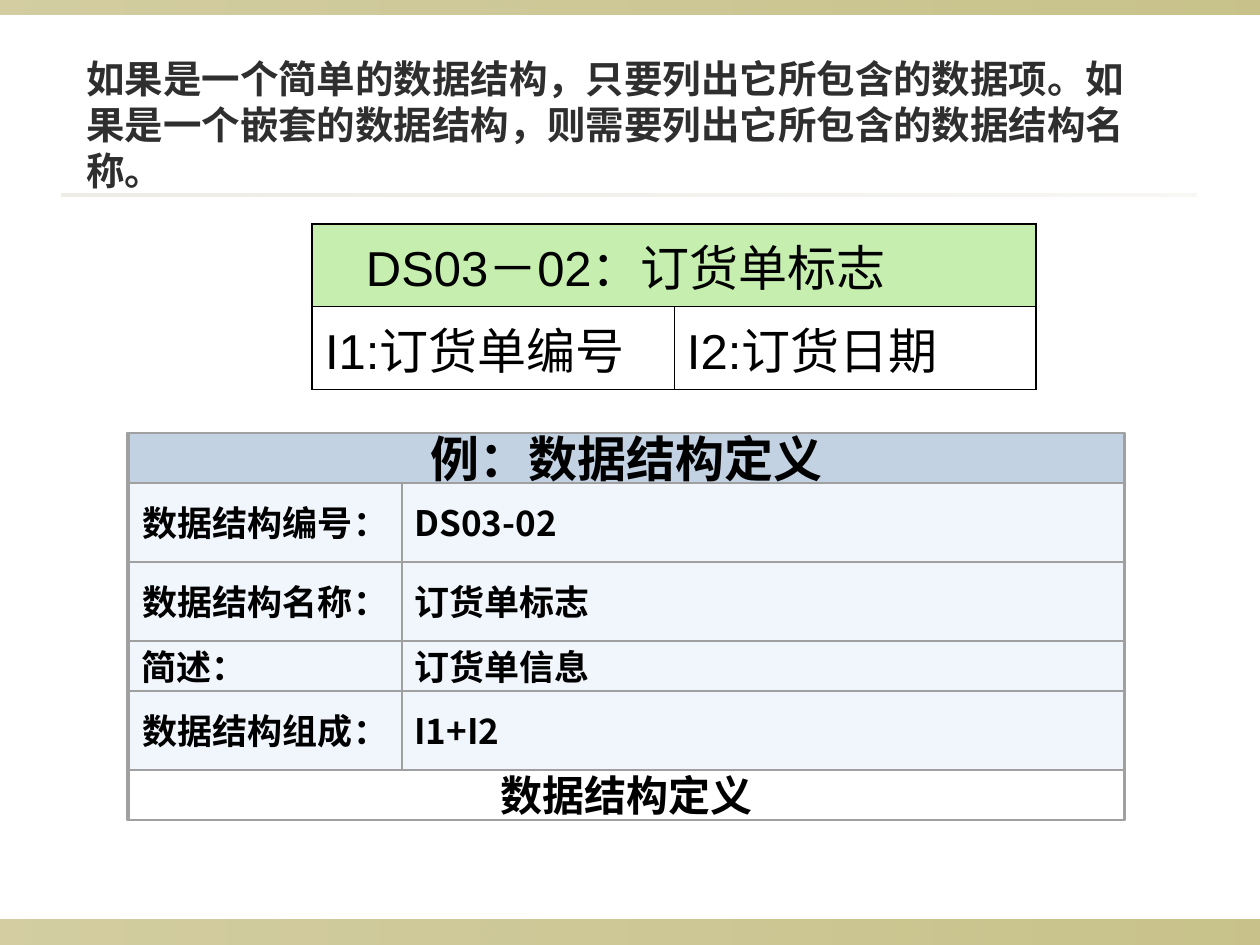
from lxml.etree import SubElement
from pptx import Presentation
from pptx.dml.color import RGBColor
from pptx.enum.shapes import MSO_SHAPE as Shape
from pptx.enum.text import MSO_ANCHOR as Anchor, PP_ALIGN as Align
from pptx.oxml.ns import qn
from pptx.util import Emu, Pt

PX_PER_INCH = 126
BLACK = RGBColor(0x00, 0x00, 0x00)
CHARCOAL = RGBColor(0x2F, 0x2F, 0x2F)
OLIVE = RGBColor(0x91, 0x84, 0x15)
SAND = RGBColor(0xDC, 0xD9, 0xCC)
GREEN = RGBColor(0xC6, 0xEF, 0xAF)
STEEL = RGBColor(0x88, 0xA6, 0xC9)
ICE = RGBColor(0xE5, 0xEF, 0xFB)
GREY = RGBColor(0xA0, 0xA0, 0xA0)

SANS = "Noto Sans CJK SC"
THIN, THICK = 0.45, 1.08
INSET_X, INSET_Y = 13, 6

INTRO = "如果是一个简单的数据结构，只要列出它所包含的数据项。如果是一个嵌套的数据结构，则需要列出它所包含的数据结构名称。"
FIELDS = [
    ("数据结构编号：", "DS03-02", 79, Align.CENTER),
    ("数据结构名称：", "订货单标志", 79, Align.CENTER),
    ("简述：", "订货单信息", 50, Align.LEFT),
    ("数据结构组成：", "I1+I2", 79, Align.CENTER),
]


def px(length):
    return Emu(round(length * 914400 / PX_PER_INCH))


def set_alpha(color_element, percent):
    SubElement(color_element, qn("a:alpha"), val=str(percent * 1000))


def write(frame, text, font_name, size, color=BLACK, bold=False, align=Align.LEFT):
    para = frame.paragraphs[0]
    span = para.add_run()
    span.text = text
    para.alignment = align
    font = span.font
    font.name, font.size, font.bold = font_name, Pt(size), bold
    font.color.rgb = color
    SubElement(span._r.get_or_add_rPr(), qn("a:ea"), typeface=font_name)


def add_rect(page, left, top, width, height):
    rect = page.shapes.add_shape(Shape.RECTANGLE, px(left), px(top), px(width), px(height))
    rect.shadow.inherit = False
    rect.fill.background()
    rect.line.fill.background()
    return rect


def add_band(page, left, top, width, height, color, alphas):
    fill = add_rect(page, left, top, width, height).fill
    fill.gradient()
    fill.gradient_angle = 0
    for stop, position, alpha in zip(fill.gradient_stops, (0, 1), alphas):
        stop.position = position
        stop.color.rgb = color
        set_alpha(stop._gs[0], alpha)


def add_outline(rect, width):
    rect.line.color.rgb = GREY
    rect.line.width = Pt(width)


def add_field(page, left, top, width, height, text, size, align, color=None):
    rect = add_rect(page, left, top, width, height)
    if color is not None:
        rect.fill.solid()
        rect.fill.fore_color.rgb = color
        set_alpha(rect.fill._xPr.find(qn("a:solidFill"))[0], 50)
    add_outline(rect, 0)
    frame = rect.text_frame
    frame.word_wrap = True
    frame.vertical_anchor = Anchor.MIDDLE
    write(frame, text, SANS, size, bold=True, align=align)


def add_title(page):
    box = page.shapes.add_textbox(px(74), px(45), px(1071), px(158))
    frame = box.text_frame
    frame.word_wrap = True
    frame.vertical_anchor = Anchor.MIDDLE
    write(frame, INTRO, "Cabin", 22, CHARCOAL, bold=True)


def set_borders(cell, left, top, right, bottom):
    properties = cell._tc.get_or_add_tcPr()
    for side, width in zip("LTRB", (left, top, right, bottom)):
        line = SubElement(properties, qn(f"a:ln{side}"), w=str(Pt(width)))
        fill = SubElement(line, qn("a:solidFill"))
        SubElement(fill, qn("a:srgbClr"), val=str(BLACK))


def fill_cell(cell, text, indent=0):
    cell.margin_left = px(INSET_X + indent)
    cell.margin_right = px(INSET_X)
    cell.margin_top = px(INSET_Y + 12)
    cell.margin_bottom = px(INSET_Y)
    write(cell.text_frame, text, "Arial", 28)


def add_order_table(page):
    table = page.shapes.add_table(2, 2, px(312), px(224), px(724), px(142)).table
    table.first_row = table.horz_banding = False
    for row in range(2):
        for column in range(2):
            cell = table.cell(row, column)
            set_borders(
                cell,
                THIN if column else THICK,
                THIN if row else THICK,
                THICK if column or not row else THIN,
                THICK if row else THIN,
            )
            cell.fill.background()
    header = table.cell(0, 0)
    header.merge(table.cell(0, 1))
    header.fill.solid()
    header.fill.fore_color.rgb = GREEN
    fill_cell(header, "DS03－02：订货单标志", indent=41)
    fill_cell(table.cell(1, 0), "I1:订货单编号")
    fill_cell(table.cell(1, 1), "I2:订货日期")


def add_definition(page):
    left, top, label_width, value_width = 129, 433, 273, 722
    width = label_width + value_width
    add_field(page, left, top, width, 50, "例：数据结构定义", 28, Align.CENTER, STEEL)
    y = top + 50
    for label, value, height, align in FIELDS:
        add_field(page, left, y, label_width, height, label, 20, align, ICE)
        add_field(page, left + label_width, y, value_width, height, value, 20, Align.LEFT, ICE)
        y += height
    add_field(page, left, y, width, 50, "数据结构定义", 24, Align.CENTER)
    add_outline(add_rect(page, left - 2, top, width + 3, y + 50 - top), 0.75)


def main():
    deck = Presentation()
    deck.slide_width, deck.slide_height = px(1260), px(945)
    page = deck.slides.add_slide(deck.slide_layouts[6])
    add_band(page, 0, 920, 1260, 25, OLIVE, (40, 50))
    add_band(page, 0, 0, 1260, 15, OLIVE, (40, 50))
    add_band(page, 62, 194, 1135, 3, SAND, (50, 20))
    add_title(page)
    add_order_table(page)
    add_definition(page)
    deck.save("out.pptx")


if __name__ == "__main__":
    main()
